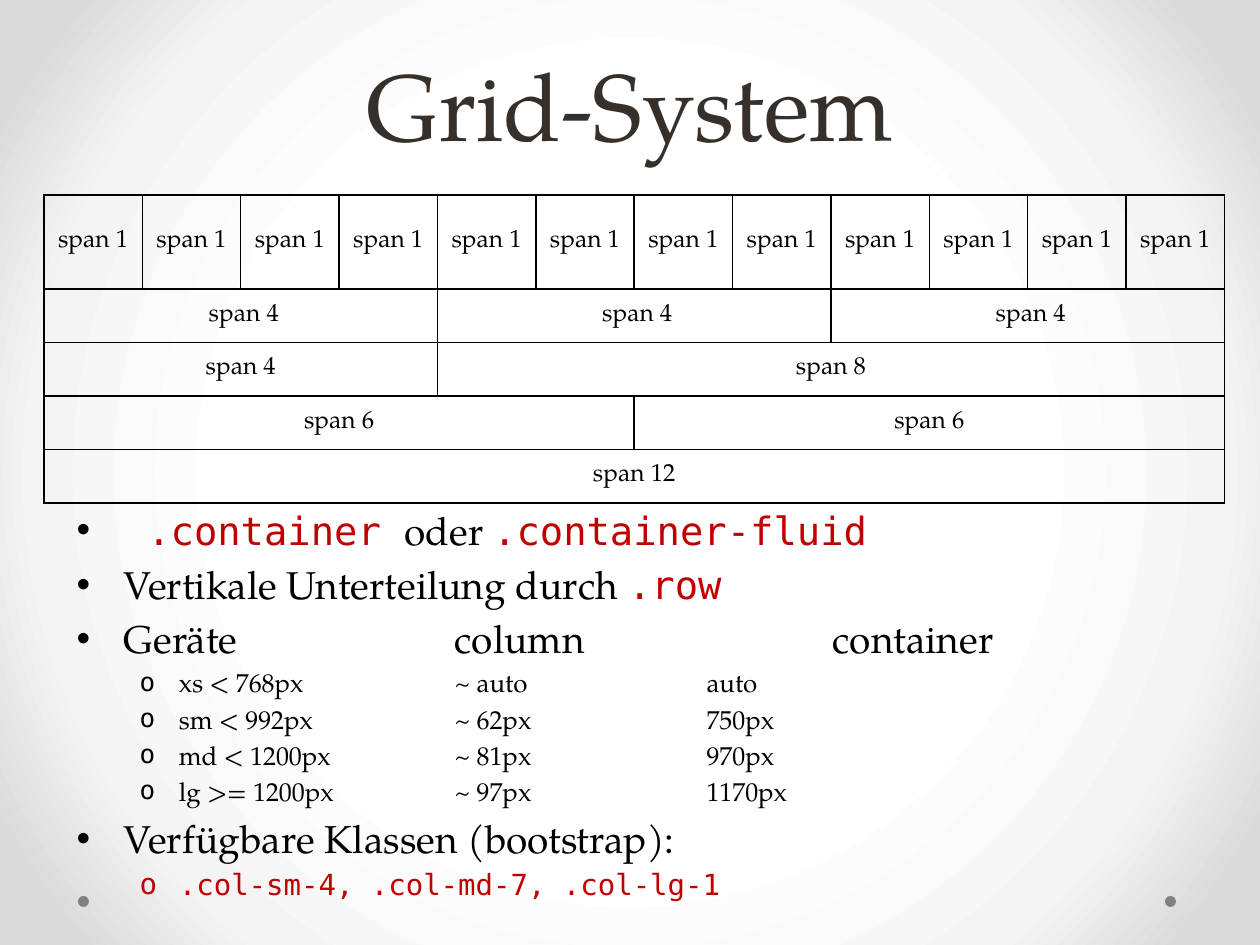
from dataclasses import dataclass

from pptx import Presentation
from pptx.dml.color import RGBColor
from pptx.enum.shapes import MSO_SHAPE
from pptx.enum.text import MSO_ANCHOR, MSO_AUTO_SIZE, PP_ALIGN
from pptx.oxml import parse_xml
from pptx.oxml.ns import nsdecls
from pptx.util import Emu, Pt

CENTER = PP_ALIGN.CENTER
MIDDLE = MSO_ANCHOR.MIDDLE
NO_FIT = MSO_AUTO_SIZE.NONE
OVAL = MSO_SHAPE.OVAL
SCALE = 914400 / 126


@dataclass(frozen=True)
class Theme:
    """Colours, fonts and type sizes of the slide."""
    serif: str = "TeX Gyre Pagella"
    mono: str = "DejaVu Sans Mono"
    ink: str = "000000"
    heading: str = "37302A"
    code: str = "C00000"
    dot: str = "808080"
    glow: tuple = ((50, "FFFFFF"), (76, "F4F4F4"), (92, "DADADA"))
    title_size: float = 54
    title_leading: float = 58
    topic_size: float = 22.2
    detail_size: float = 14.8
    class_size: float = 16.6
    cell_size: float = 14


def px(length):
    """Turn picture pixels into EMU."""
    return Emu(round(length * SCALE))


def apply(target, values):
    """Set every attribute named in values on target."""
    for name, value in values.items():
        setattr(target, name, value)


class SlideBuilder:
    """Holds the theme and the current slide."""

    def __init__(self, slide, theme):
        """Keep the slide and its theme."""
        self.slide, self.theme = slide, theme

    def background(self):
        """Fill the background with a circular gradient."""
        stops = "".join(
            f'<a:gs pos="{pos * 1000}"><a:srgbClr val="{color}"/></a:gs>'
            for pos, color in self.theme.glow)
        self.slide.element.cSld.insert(0, parse_xml(
            f'<p:bg {nsdecls("p", "a")}><p:bgPr><a:gradFill rotWithShape="1">'
            f'<a:gsLst>{stops}</a:gsLst><a:path path="circle">'
            '<a:fillToRect l="50000" t="50000" r="50000" b="50000"/></a:path>'
            '</a:gradFill><a:effectLst/></p:bgPr></p:bg>'))

    def run(self, paragraph, text, size, code=False, color=None):
        """Add a run in the serif face, or in the code face."""
        theme = self.theme
        run = paragraph.add_run()
        run.text = text
        apply(run.font, {"size": Pt(size),
                         "name": theme.mono if code else theme.serif})
        run.font.color.rgb = RGBColor.from_string(
            color or (theme.code if code else theme.ink))

    def place(self, holder, left, top, width, height):
        """Move a placeholder and return its text frame."""
        apply(holder, {"left": px(left), "top": px(top),
                       "width": px(width), "height": px(height)})
        apply(holder.text_frame, {"word_wrap": True, "auto_size": NO_FIT,
                                  "vertical_anchor": MIDDLE})
        return holder.text_frame

    def title(self, text, *box):
        """Write the slide title."""
        heading = self.place(self.slide.shapes.title, *box).paragraphs[0]
        apply(heading, {"alignment": CENTER,
                        "line_spacing": Pt(self.theme.title_leading)})
        self.run(heading, text, self.theme.title_size,
                 color=self.theme.heading)

    def bullets(self, items, *box):
        """Write the list: each item is level, size, tab stops and runs."""
        frame = self.place(self.slide.placeholders[1], *box)
        for index, (level, size, stops, runs) in enumerate(items):
            entry = frame.add_paragraph() if index else frame.paragraphs[0]
            entry.level = level
            properties = entry._p.get_or_add_pPr()
            if level:
                properties.append(parse_xml(
                    f'<a:buFont {nsdecls("a")} typeface="{self.theme.mono}"/>'))
                properties.append(parse_xml(
                    f'<a:buChar {nsdecls("a")} char="o"/>'))
            if stops:
                tabs = "".join(f'<a:tab pos="{px(stop)}" algn="l"/>'
                               for stop in stops)
                properties.append(parse_xml(
                    f'<a:tabLst {nsdecls("a")}>{tabs}</a:tabLst>'))
            for text, *style in runs:
                self.run(entry, text, size, *style)

    def cell(self, cell, text):
        """Format one table cell: no fill, thin border, centred text."""
        apply(cell, {"vertical_anchor": MIDDLE, "margin_left": px(6),
                     "margin_right": px(6)})
        cell.fill.background()
        properties = cell._tc.get_or_add_tcPr()
        for index, side in enumerate("LRTB"):
            properties.insert(index, parse_xml(
                f'<a:ln{side} {nsdecls("a")} w="{Pt(1)}"><a:solidFill>'
                f'<a:srgbClr val="{self.theme.ink}"/></a:solidFill>'
                f'</a:ln{side}>'))
        if text:
            label = cell.text_frame.paragraphs[0]
            label.alignment = CENTER
            self.run(label, text, self.theme.cell_size)

    def span_table(self, rows, columns, first_height, left, top, width, height):
        """Draw rows of spans; each row lists its spans and a text prefix."""
        table = self.slide.shapes.add_table(
            len(rows), columns, px(left), px(top), px(width), px(height)).table
        apply(table, {"first_row": False, "horz_banding": False})
        for column in table.columns:
            column.width = px(width / columns)
        row_height = (height - first_height) / (len(rows) - 1)
        for index, (prefix, spans) in enumerate(rows):
            table.rows[index].height = px(row_height if index else first_height)
            start = 0
            for span in spans:
                if span > 1:
                    table.cell(index, start).merge(
                        table.cell(index, start + span - 1))
                for offset in range(span):
                    self.cell(table.cell(index, start + offset),
                              "" if offset else f"{prefix}span {span}")
                start += span

    def dot(self, left, top, size):
        """Draw a small round ornament."""
        dot = self.slide.shapes.add_shape(
            OVAL, px(left), px(top), px(size), px(size))
        dot.shadow.inherit = False
        dot.fill.solid()
        dot.fill.fore_color.rgb = RGBColor.from_string(self.theme.dot)
        dot.line.fill.background()


def main():
    """Build the slide and save it."""
    deck = Presentation()
    apply(deck, {"slide_width": px(1260), "slide_height": px(945)})
    theme = Theme()
    builder = SlideBuilder(deck.slides.add_slide(deck.slide_layouts[1]), theme)
    builder.background()
    for left in (1165, 78):
        builder.dot(left, 896, 11)
    builder.title("Grid-System", 63, 0, 1134, 220)

    devices = [("xs < 768px", "~ auto", "auto"),
               ("sm < 992px", "~ 62px", "750px"),
               ("md < 1200px", "~ 81px", "970px"),
               ("lg >= 1200px", "~ 97px", "1170px")]
    topic, detail = theme.topic_size, theme.detail_size
    builder.bullets([
        (0, topic, (), [(" ", True, theme.ink), (".container ", True),
                        ("oder ",), (".container-fluid", True)]),
        (0, topic, (), [("Vertikale Unterteilung durch ",), (".row", True)]),
        (0, topic, (378, 756), [("Geräte\tcolumn\tcontainer",)]),
        *((1, detail, (378, 630), [("\t".join(device),)])
          for device in devices),
        (0, topic, (), [("Verfügbare Klassen (bootstrap):",)]),
        (1, theme.class_size, (),
         [(".col-sm-4, .col-md-7, .col-lg-1", True)]),
    ], 64, 503, 1134, 402)

    builder.span_table([("", [1] * 12), ("\u00a0", [4] * 3), ("", [4, 8]),
                        ("", [6, 6]), ("", [12])],
                       12, 94, 44, 195, 1181, 308)
    deck.save("out.pptx")


main()
